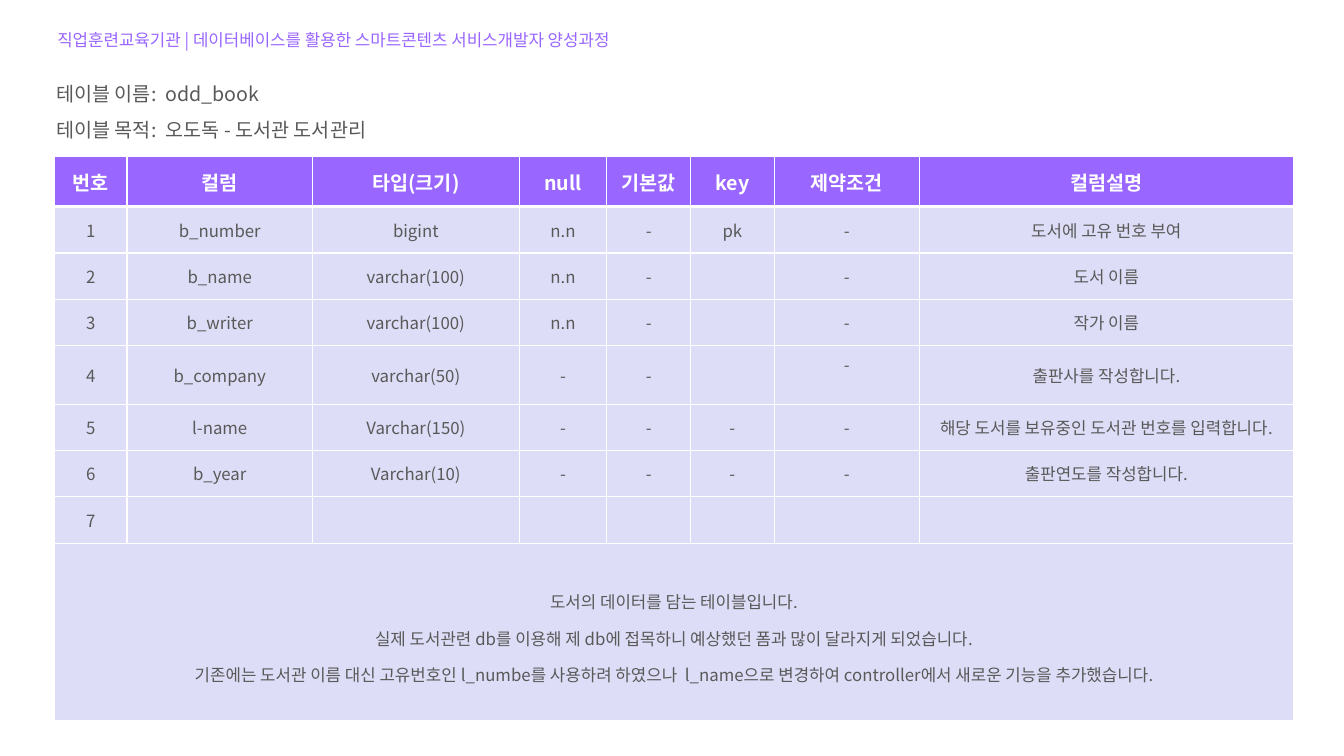
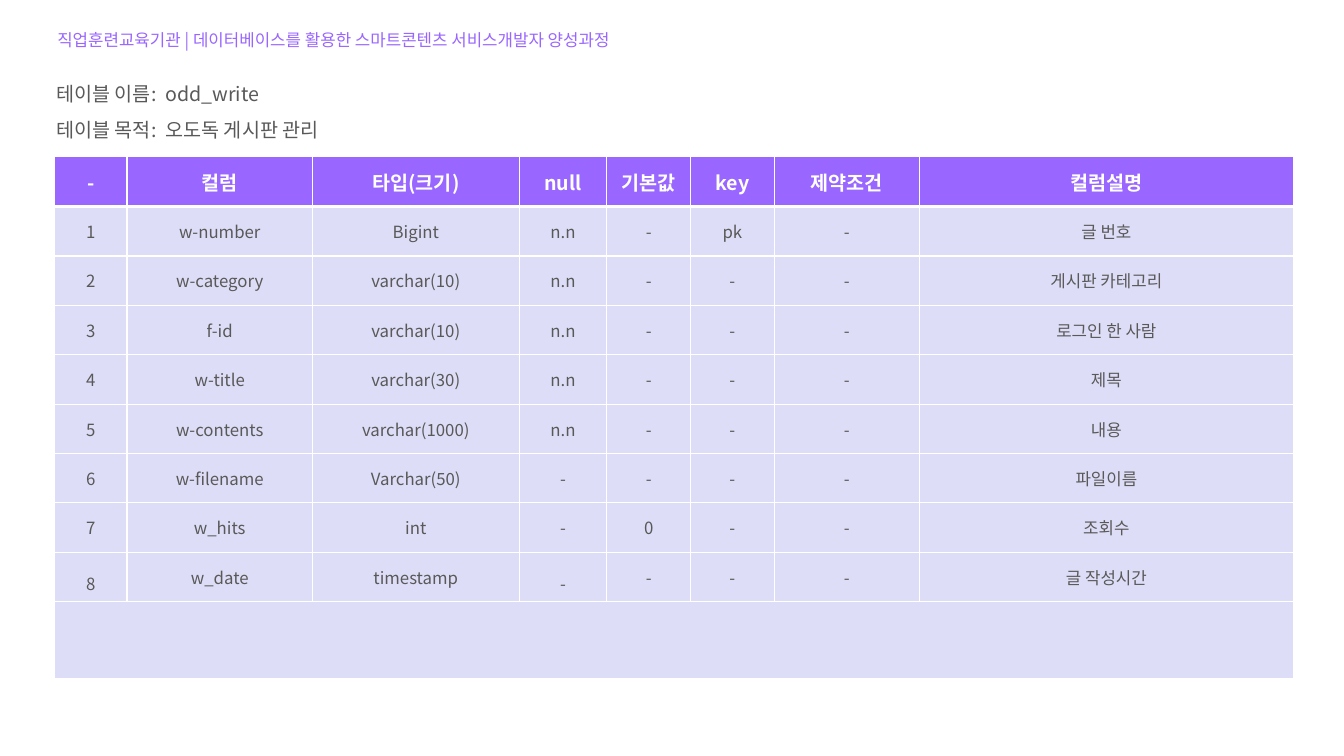
"""Build two slides that describe database tables."""
from dataclasses import dataclass, field

import pptx
import pptx.dml.color
import pptx.enum.text
import pptx.oxml.ns
import pptx.util
from lxml import etree
from pptx.util import Inches

FONT = "Noto Sans CJK KR"
COLORS = {"accent": "9966FF", "body": "DDDDF7", "text": "595959", "white": "FFFFFF"}
COURSE = "직업훈련교육기관 | 데이터베이스를 활용한 스마트콘텐츠 서비스개발자 양성과정"
HEADINGS = ("컬럼", "타입(크기)", "null", "기본값", "key", "제약조건", "컬럼설명")
COL_WIDTHS = (0.72, 1.84, 2.05, 0.87, 0.83, 0.83, 1.44, 3.71)
HEADER_HEIGHT = 0.5
LOOSE = 1.5


@dataclass(frozen=True)
class TableSlide:
    name: str
    purpose: str
    first_heading: str
    rows: list[tuple[str, ...]]
    row_height: float
    note_height: float
    note: tuple[str, ...] = ()
    tall_rows: dict[int, float] = field(default_factory=dict)
    raised_cells: dict[tuple[int, int], float] = field(default_factory=dict)
    loose_cells: tuple[tuple[int, int], ...] = ()


SLIDES = [
    TableSlide(
        name="odd_book",
        purpose="오도독 - 도서관 도서관리",
        first_heading="번호",
        rows=[
            ("b_number", "bigint", "n.n", "-", "pk", "-", "도서에 고유 번호 부여"),
            ("b_name", "varchar(100)", "n.n", "-", "", "-", "도서 이름"),
            ("b_writer", "varchar(100)", "n.n", "-", "", "-", "작가 이름"),
            ("b_company", "varchar(50)", "-", "-", "", "-", "출판사를 작성합니다."),
            ("l-name", "Varchar(150)", "-", "-", "-", "-",
             "해당 도서를 보유중인 도서관 번호를 입력합니다."),
            ("b_year", "Varchar(10)", "-", "-", "-", "-", "출판연도를 작성합니다."),
            ("",) * 7,
        ],
        row_height=0.46,
        note_height=1.76,
        note=(
            "도서의 데이터를 담는 테이블입니다.",
            "실제 도서관련 db를 이용해 제 db에 접목하니 예상했던 폼과 많이 달라지게 되었습니다.",
            "기존에는 도서관 이름 대신 고유번호인 l_numbe를 사용하려 하였으나  l_name으로 "
            "변경하여 controller에서 새로운 기능을 추가했습니다.",
        ),
        tall_rows={4: 0.58},
        raised_cells={(4, 6): 0.27},
    ),
    TableSlide(
        name="odd_write",
        purpose="오도독 게시판 관리",
        first_heading="-",
        rows=[
            ("w-number", "Bigint", "n.n", "-", "pk", "-", "글 번호"),
            ("w-category", "varchar(10)", "n.n", "-", "-", "-", "게시판 카테고리"),
            ("f-id", "varchar(10)", "n.n", "-", "-", "-", "로그인 한 사람"),
            ("w-title", "varchar(30)", "n.n", "-", "-", "-", "제목"),
            ("w-contents", "varchar(1000)", "n.n", "-", "-", "-", "내용"),
            ("w-filename", "Varchar(50)", "-", "-", "-", "-", "파일이름"),
            ("w_hits", "int", "-", "0", "-", "-", "조회수"),
            ("w_date", "timestamp", "-", "-", "-", "-", "글 작성시간"),
        ],
        row_height=0.49,
        note_height=0.76,
        loose_cells=((8, 0), (8, 3)),
    ),
]


def rgb(color: str) -> pptx.dml.color.RGBColor:
    return pptx.dml.color.RGBColor.from_string(COLORS[color])


def write(tf, lines: tuple[str, ...], size: int, color: str, bold: bool = False,
          spacing: float = 1.0, centered: bool = False) -> None:
    for i, line in enumerate(lines):
        p = tf.paragraphs[0] if i == 0 else tf.add_paragraph()
        p.text = line
        p.line_spacing = spacing
        if centered:
            p.alignment = pptx.enum.text.PP_ALIGN.CENTER
        p.font.name = FONT
        p.font.size = pptx.util.Pt(size)
        p.font.bold = bold
        p.font.color.rgb = rgb(color)
        props = p.font._element if hasattr(p.font, "_element") else p.font._rPr
        latin = props.find(pptx.oxml.ns.qn("a:latin"))
        ea = etree.Element(pptx.oxml.ns.qn("a:ea"), typeface=FONT)
        latin.addnext(ea)


def add_text(slide, left: float, top: float, height: float,
             lines: tuple[str, ...], size: int, color: str) -> None:
    sp = slide.shapes.add_textbox(Inches(left), Inches(top), Inches(11.6), Inches(height))
    tf = sp.text_frame
    tf.word_wrap = True
    tf.auto_size = pptx.enum.text.MSO_AUTO_SIZE.SHAPE_TO_FIT_TEXT
    write(tf, lines, size, color, spacing=LOOSE)


def set_borders(cell, bottom: int) -> None:
    props = cell._tc.get_or_add_tcPr()
    qn = pptx.oxml.ns.qn
    for i, (side, width) in enumerate((("L", 1), ("R", 1), ("T", 1), ("B", bottom))):
        line = etree.Element(qn(f"a:ln{side}"), w=str(pptx.util.Pt(width)))
        fill = etree.SubElement(line, qn("a:solidFill"))
        etree.SubElement(fill, qn("a:srgbClr"), val=COLORS["white"])
        props.insert(i, line)


def add_table(slide, data: TableSlide) -> None:
    texts = [(data.first_heading, *HEADINGS)]
    texts += [(str(n), *row) for n, row in enumerate(data.rows, 1)]
    texts.append(("",) * len(COL_WIDTHS))
    last = len(texts) - 1
    heights = [data.tall_rows.get(r, data.row_height) for r in range(len(texts))]
    heights[0], heights[last] = HEADER_HEIGHT, data.note_height
    frame = slide.shapes.add_table(len(texts), len(COL_WIDTHS), Inches(0.54), Inches(1.55),
                                   Inches(sum(COL_WIDTHS)), Inches(sum(heights)))
    table = frame.table
    table.horz_banding = False
    for col, width in zip(table.columns, COL_WIDTHS):
        col.width = Inches(width)
    for r, height in enumerate(heights):
        table.rows[r].height = Inches(height)
        header = r == 0
        for c, text in enumerate(texts[r]):
            cell = table.cell(r, c)
            cell.vertical_anchor = pptx.enum.text.MSO_ANCHOR.MIDDLE
            cell.fill.solid()
            cell.fill.fore_color.rgb = rgb("accent" if header else "body")
            set_borders(cell, 3 if header else 1)
            if (r, c) in data.raised_cells:
                cell.margin_bottom = Inches(data.raised_cells[r, c])
            note = r == last and c == 0
            lines = data.note if note and data.note else (text,)
            spacing = LOOSE if note or (r, c) in data.loose_cells else 1.0
            write(cell.text_frame, lines, 14 if header else 12,
                  "white" if header else "text", header, spacing, True)
    table.cell(last, 0).merge(table.cell(last, len(COL_WIDTHS) - 1))


def main() -> None:
    prs = pptx.Presentation()
    prs.slide_width, prs.slide_height = Inches(13.33), Inches(7.5)
    for data in SLIDES:
        slide = prs.slides.add_slide(prs.slide_layouts[6])
        add_table(slide, data)
        add_text(slide, 0.47, 0.15, 0.35, (COURSE,), 12, "accent")
        titles = (f"테이블 이름:  {data.name}", f"테이블 목적:  {data.purpose}")
        add_text(slide, 0.46, 0.65, 0.75, titles, 14, "text")
    prs.save("out.pptx")


if __name__ == "__main__":
    main()
